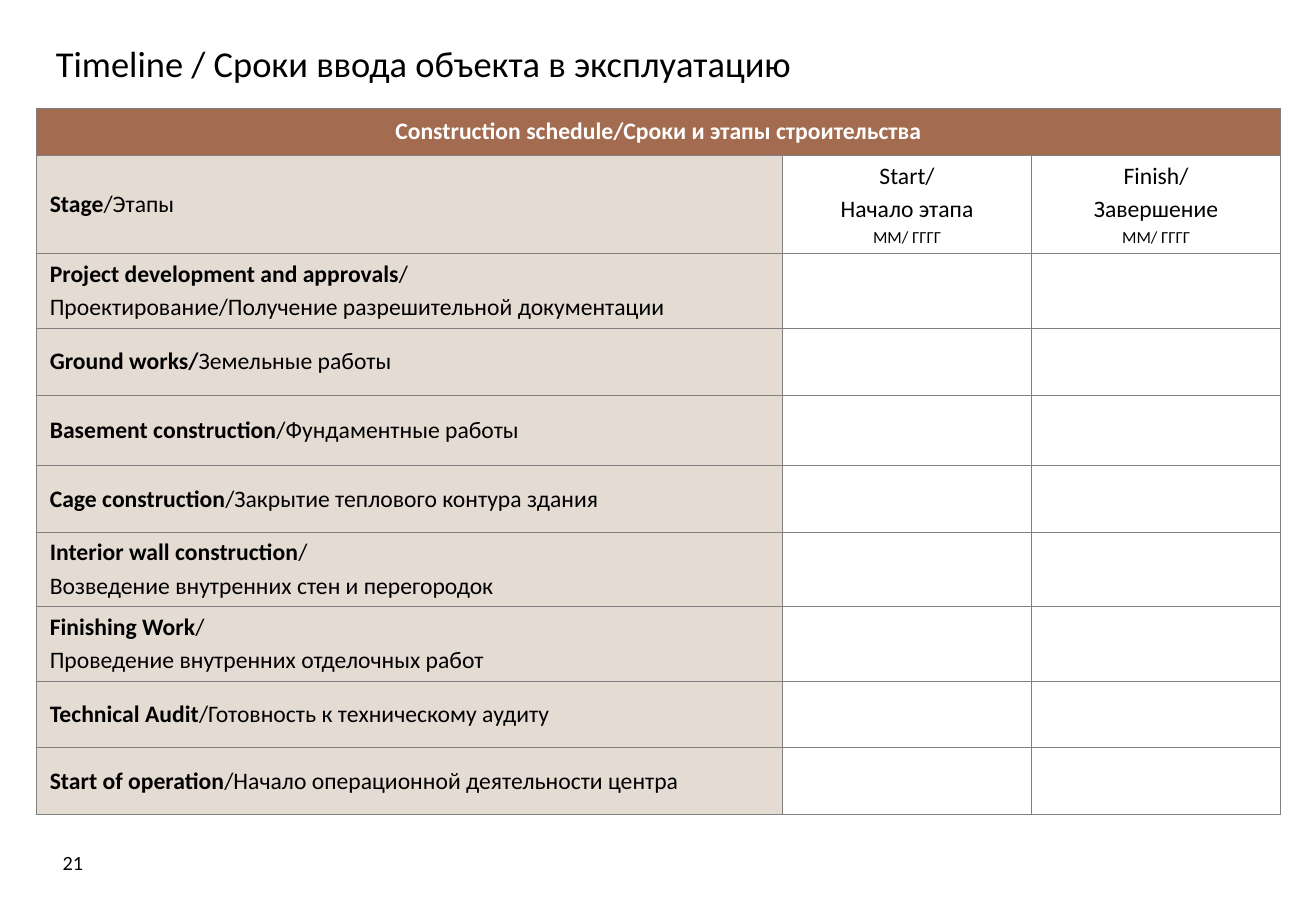
from lxml.etree import SubElement
from pptx import Presentation
from pptx.dml.color import RGBColor
from pptx.enum.text import MSO_ANCHOR, PP_ALIGN
from pptx.oxml.ns import qn
from pptx.util import Inches, Pt

COLOURS = {"text": "000000", "header": "A36B4F", "header text": "FFFFFF",
           "stage": "E4DCD3", "border": "808080"}
TITLE = "Timeline / Сроки ввода объекта в эксплуатацию"
HEADING = "Construction schedule/Сроки и этапы строительства"
DATE_FORMAT = "ММ/ ГГГГ"
DATE_COLUMNS = [["Start/", "Начало этапа"], ["Finish/", "Завершение"]]
COLUMN_WIDTHS = [6.14, 2.05, 2.05]
HEADING_HEIGHT = 0.39
# Each line is "bold part|regular part"; each stage has its row height.
STAGES = [
    (0.81, ["Stage|/Этапы"]),
    (0.61, ["Project development and approvals|/",
            "|Проектирование/Получение разрешительной документации"]),
    (0.55, ["Ground works/|Земельные работы"]),
    (0.58, ["Basement construction|/Фундаментные работы"]),
    (0.55, ["Cage construction|/Закрытие теплового контура здания"]),
    (0.61, ["Interior wall construction|/",
            "|Возведение внутренних стен и перегородок"]),
    (0.61, ["Finishing Work|/", "|Проведение внутренних отделочных работ"]),
    (0.55, ["Technical Audit|/Готовность к техническому аудиту"]),
    (0.55, ["Start of operation|/Начало операционной деятельности центра"]),
]


def set_all(target, values):
    """Set every attribute of a format dict on the target."""
    for attribute, value in values.items():
        setattr(target, attribute, value)


class SlideBuilder:
    """Holds the style and the current slide."""

    font_name = "Calibri"
    body_size = 14
    cell_format = {"vertical_anchor": MSO_ANCHOR.MIDDLE,
                   "margin_left": Inches(0.11), "margin_right": Inches(0.11),
                   "margin_top": Inches(0.05), "margin_bottom": Inches(0.05)}

    def __init__(self, slide):
        """Keep the slide to build on."""
        self.slide = slide

    def add_text(self, paragraph, text, size, bold=False, colour="text"):
        """Add one formatted run to a paragraph."""
        run = paragraph.add_run()
        run.text = text
        set_all(run.font, {"name": self.font_name, "size": Pt(size), "bold": bold})
        run.font.color.rgb = RGBColor.from_string(COLOURS[colour])

    def label(self, holder, box, text, size, align):
        """Place a one-line text holder and fill it."""
        sides = ("left", "top", "width", "height")
        set_all(holder, dict(zip(sides, map(Inches, box))))
        set_all(holder.text_frame, {"word_wrap": True,
                                    "vertical_anchor": MSO_ANCHOR.MIDDLE})
        paragraph = holder.text_frame.paragraphs[0]
        paragraph.alignment = align
        self.add_text(paragraph, text, size)

    def title(self, text, box):
        """Fill the title placeholder."""
        self.label(self.slide.shapes.title, box, text, 21.6, PP_ALIGN.LEFT)

    def page_number(self, text, box):
        """Add the page number."""
        holder = self.slide.shapes.add_textbox(*map(Inches, box))
        self.label(holder, box, text, 12, PP_ALIGN.CENTER)

    def table(self, left, top, widths, heights):
        """Add a plain bordered table and return it."""
        frame = self.slide.shapes.add_table(
            len(heights), len(widths), Inches(left), Inches(top),
            Inches(sum(widths)), Inches(sum(heights)))
        grid = frame.table
        set_all(grid, {"first_row": False, "horz_banding": False})
        for column, width in zip(grid.columns, widths):
            column.width = Inches(width)
        for row, height in zip(grid.rows, heights):
            row.height = Inches(height)
        for cell in grid.iter_cells():
            set_all(cell, self.cell_format)
            self.borders(cell)
            cell.fill.background()
        return grid

    def borders(self, cell):
        """Draw a thin line on all four sides of a cell."""
        properties = cell._tc.get_or_add_tcPr()
        for side in ("a:lnL", "a:lnR", "a:lnT", "a:lnB"):
            line = SubElement(properties, qn(side), w=str(Pt(0.75)))
            fill = SubElement(line, qn("a:solidFill"))
            SubElement(fill, qn("a:srgbClr"), val=COLOURS["border"])

    def fill_cell(self, cell, colour):
        """Give a cell a solid fill."""
        cell.fill.solid()
        cell.fill.fore_color.rgb = RGBColor.from_string(COLOURS[colour])

    def cell_lines(self, cell, lines, align=PP_ALIGN.LEFT, colour="text", sizes=None):
        """Put "bold|regular" lines in a cell, spaced by a fifth of their size."""
        sizes = sizes or [self.body_size] * len(lines)
        frame = cell.text_frame
        for index, (line, size) in enumerate(zip(lines, sizes)):
            paragraph = frame.add_paragraph() if index else frame.paragraphs[0]
            paragraph.alignment = align
            if index:
                paragraph.space_before = Pt(size * 0.2)
            for text, bold in zip(line.split("|"), (True, False)):
                if text:
                    self.add_text(paragraph, text, size, bold, colour)


def build_schedule(builder):
    """Add the construction schedule table."""
    heights = [HEADING_HEIGHT] + [height for height, _ in STAGES]
    schedule = builder.table(0.3, 0.89, COLUMN_WIDTHS, heights)
    heading = schedule.cell(0, 0)
    heading.merge(schedule.cell(0, len(COLUMN_WIDTHS) - 1))
    builder.fill_cell(heading, "header")
    builder.cell_lines(heading, [HEADING], PP_ALIGN.CENTER, "header text")
    for row, (_, lines) in enumerate(STAGES, start=1):
        stage = schedule.cell(row, 0)
        builder.fill_cell(stage, "stage")
        builder.cell_lines(stage, lines)
    for column, labels in enumerate(DATE_COLUMNS, start=1):
        lines = ["|" + text for text in labels + [DATE_FORMAT]]
        builder.cell_lines(schedule.cell(1, column), lines, PP_ALIGN.CENTER,
                           sizes=[14, 14, 10])


def main():
    """Build and save the slide."""
    deck = Presentation()
    set_all(deck, {"slide_width": Inches(10.83), "slide_height": Inches(7.5)})
    title_only = deck.slide_layouts[5]
    builder = SlideBuilder(deck.slides.add_slide(title_only))
    builder.title(TITLE, (0.36, 0.29, 10.01, 0.46))
    build_schedule(builder)
    builder.page_number("21", (0.3, 6.9, 0.6, 0.4))
    deck.save("out.pptx")


main()
